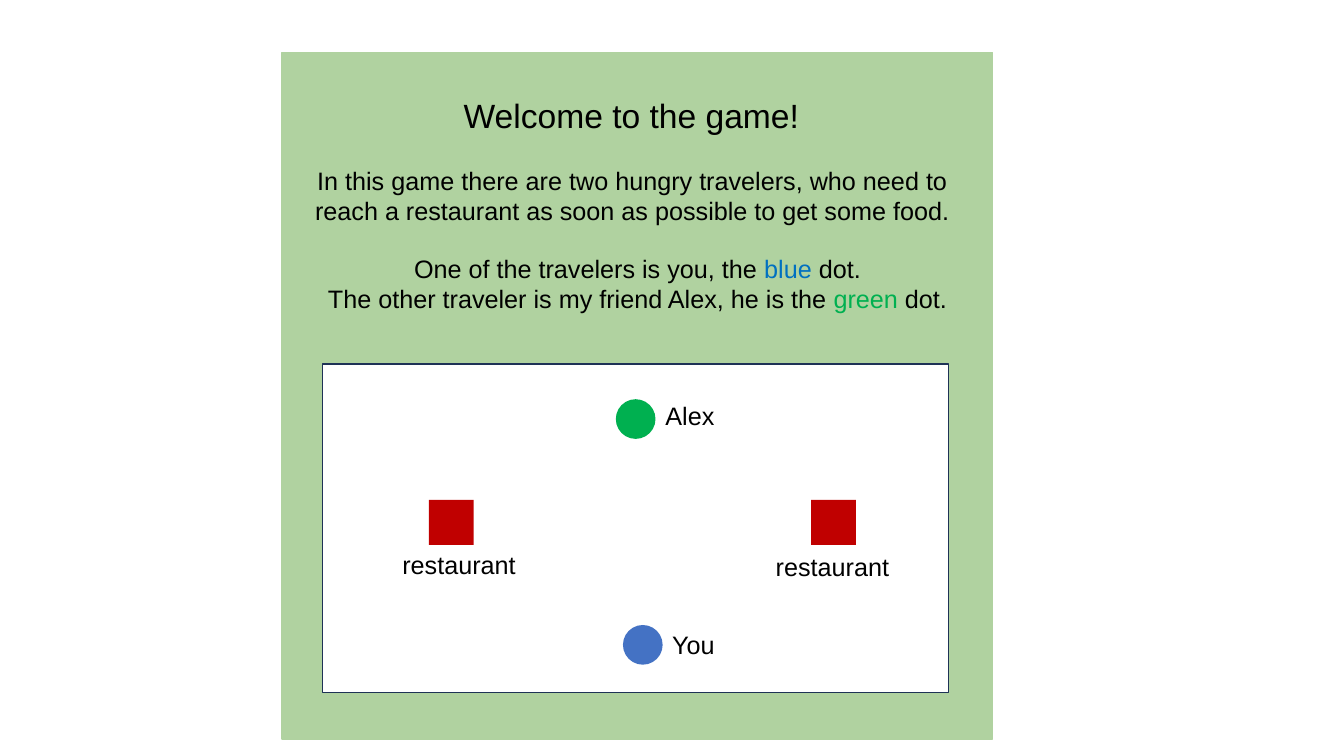
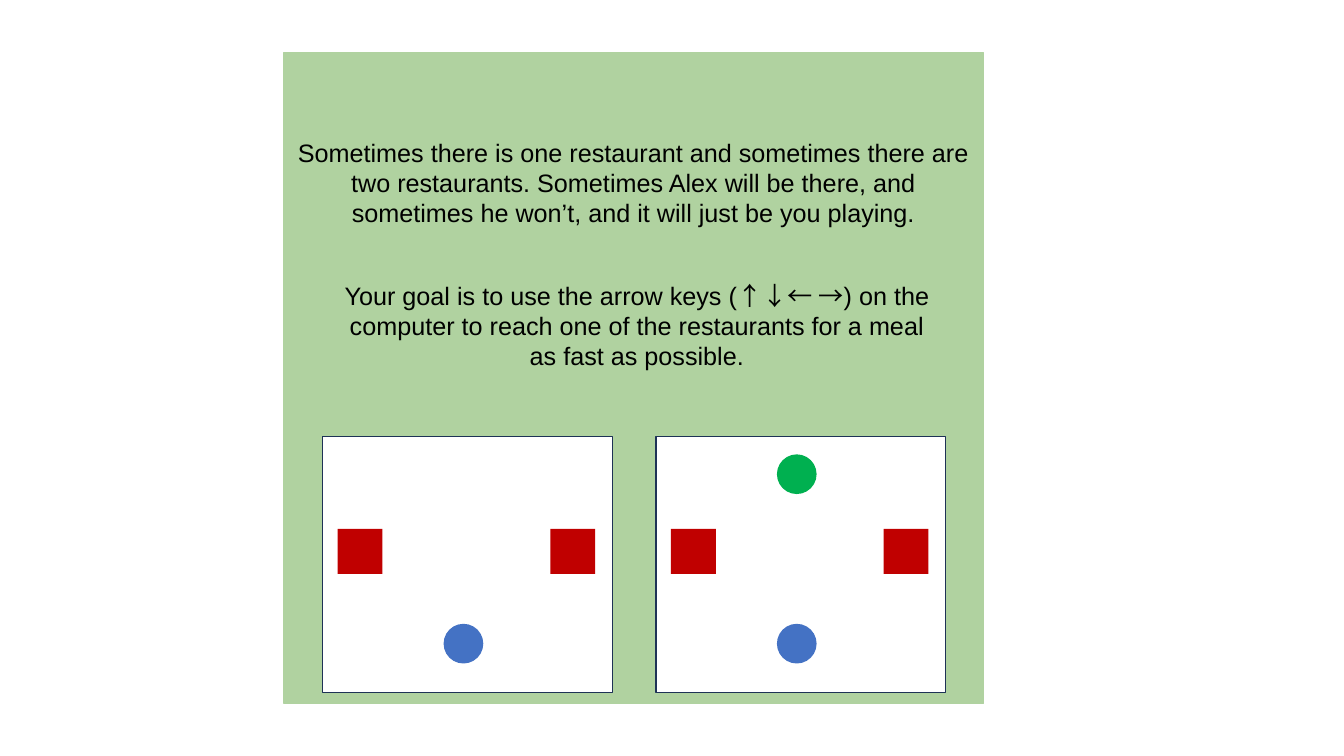
from pptx import Presentation
from pptx.dml.color import RGBColor
from pptx.enum.shapes import MSO_SHAPE
from pptx.enum.text import MSO_AUTO_SIZE, PP_ALIGN
from pptx.oxml.ns import qn
from pptx.util import Cm, Pt

PANEL_GREEN = "B0D2A0"
BOARD_WHITE = "FFFFFF"
BOARD_EDGE = "1E3256"
ALEX_GREEN = "00B050"
YOU_BLUE = "4472C4"
RESTAURANT_RED = "C00000"
BLUE_WORD = "0070C0"
BLACK = "000000"

FONT = "Arial"
ARROW_FONT = "Noto Sans CJK SC"
DOT = 1
RESTAURANT = 1.13
LABEL_HEIGHT = 1.02


def rgb(hex_colour):
    return RGBColor.from_string(hex_colour)


def add_figure(shapes, kind, left, top, width, height, fill, edge=None):
    figure = shapes.add_shape(kind, Cm(left), Cm(top), Cm(width), Cm(height))
    figure.shadow.inherit = False
    figure.fill.solid()
    figure.fill.fore_color.rgb = rgb(fill)
    if edge:
        figure.line.color.rgb = rgb(edge)
        figure.line.width = Pt(1)
    else:
        figure.line.fill.background()


def add_panel(slide, left, width, height):
    add_figure(slide.shapes, MSO_SHAPE.RECTANGLE, left, 1.32, width, height,
               PANEL_GREEN, PANEL_GREEN)


def add_board(slide, left, top, width, height):
    """Return the shapes of a new group that starts with the white board."""
    shapes = slide.shapes.add_group_shape().shapes
    add_figure(shapes, MSO_SHAPE.RECTANGLE, left, top, width, height,
               BOARD_WHITE, BOARD_EDGE)
    return shapes


def add_dot(shapes, left, top, colour):
    add_figure(shapes, MSO_SHAPE.OVAL, left, top, DOT, DOT, colour)


def add_restaurants(shapes, lefts, top):
    for left in lefts:
        add_figure(shapes, MSO_SHAPE.RECTANGLE, left, top,
                   RESTAURANT, RESTAURANT, RESTAURANT_RED)


def add_run(paragraph, text, size, colour=BLACK, font=FONT):
    run = paragraph.add_run()
    run.text = text
    run.font.size = Pt(size)
    run.font.name = font
    run.font.color.rgb = rgb(colour)
    if font != FONT:
        east_asian = run.font._element.makeelement(qn("a:ea"), {"typeface": font})
        run.font._element.append(east_asian)


def add_text(shapes, left, top, width, height, paragraphs,
             size=18, align=PP_ALIGN.CENTER, wrap=True):
    """Each paragraph is a list of (text, colour, font); the last two are optional."""
    box = shapes.add_textbox(Cm(left), Cm(top), Cm(width), Cm(height))
    frame = box.text_frame
    frame.word_wrap = wrap
    frame.auto_size = MSO_AUTO_SIZE.SHAPE_TO_FIT_TEXT
    for index, runs in enumerate(paragraphs):
        paragraph = frame.add_paragraph() if index else frame.paragraphs[0]
        paragraph.alignment = align
        for text, *style in runs:
            add_run(paragraph, text, size, *style)


def add_label(shapes, left, top, width, text):
    add_text(shapes, left, top, width, LABEL_HEIGHT, [[(text,)]],
             align=PP_ALIGN.LEFT, wrap=False)


def add_small_board(slide, left, with_alex):
    top = 11
    shapes = add_board(slide, left, top, 7.3, 6.45)
    if with_alex:
        add_dot(shapes, left + 3.05, top + 0.45, ALEX_GREEN)
    add_dot(shapes, left + 3.05, top + 4.72, YOU_BLUE)
    add_restaurants(shapes, (left + 0.38, left + 5.74), top + 2.33)


def build_welcome(slide):
    add_panel(slide, 7.11, 17.91, 17.3)
    add_text(slide.shapes, 7.11, 4.04, 17.65, 2.56, [[
        ("In this game there are two hungry travelers, who need to reach "
         "a restaurant as soon as possible to get some food.",)]])
    add_text(slide.shapes, 7.11, 2.26, 17.6, 1.27,
             [[("Welcome to the game!",)]], size=24)
    add_text(slide.shapes, 7.11, 6.25, 17.91, 1.8, [
        [("One of the travelers is you, the ",), ("blue", BLUE_WORD), (" dot.",)],
        [("The other traveler is my friend Alex, he is the ",),
         ("green", ALEX_GREEN), (" dot.",)],
    ])

    board = add_board(slide, 8.13, 9.17, 15.77, 8.28)
    add_dot(board, 15.52, 10.06, ALEX_GREEN)
    add_dot(board, 15.7, 15.75, YOU_BLUE)
    add_restaurants(board, (10.81, 20.44), 12.6)
    add_label(slide.shapes, 16.52, 9.96, 1.75, "Alex")
    add_label(slide.shapes, 16.69, 15.73, 1.8, "You")
    add_label(slide.shapes, 9.89, 13.72, 3.4, "restaurant")
    add_label(slide.shapes, 19.3, 13.77, 3.4, "restaurant")


def build_goal(slide):
    add_panel(slide, 7.16, 17.62, 16.41)
    add_text(slide.shapes, 7.16, 3.33, 17.6, 2.56, [[
        ("Sometimes there is one restaurant and sometimes there are two "
         "restaurants. Sometimes Alex will be there, and sometimes he won’t, "
         "and it will just be you playing.",)]])
    add_text(slide.shapes, 7.16, 6.93, 17.78, 2.56, [
        [("Your goal is to use the arrow keys (",),
         ("↑↓← →", BLACK, ARROW_FONT),
         (") on the computer to reach one of the restaurants for a meal",)],
        [("as fast as possible.",)],
    ])
    add_small_board(slide, 8.13, with_alex=False)
    add_small_board(slide, 16.53, with_alex=True)


def main():
    deck = Presentation()
    deck.slide_width, deck.slide_height = Cm(33.87), Cm(19.05)
    blank = deck.slide_layouts[6]
    for build in (build_welcome, build_goal):
        build(deck.slides.add_slide(blank))
    deck.save("out.pptx")


if __name__ == "__main__":
    main()
